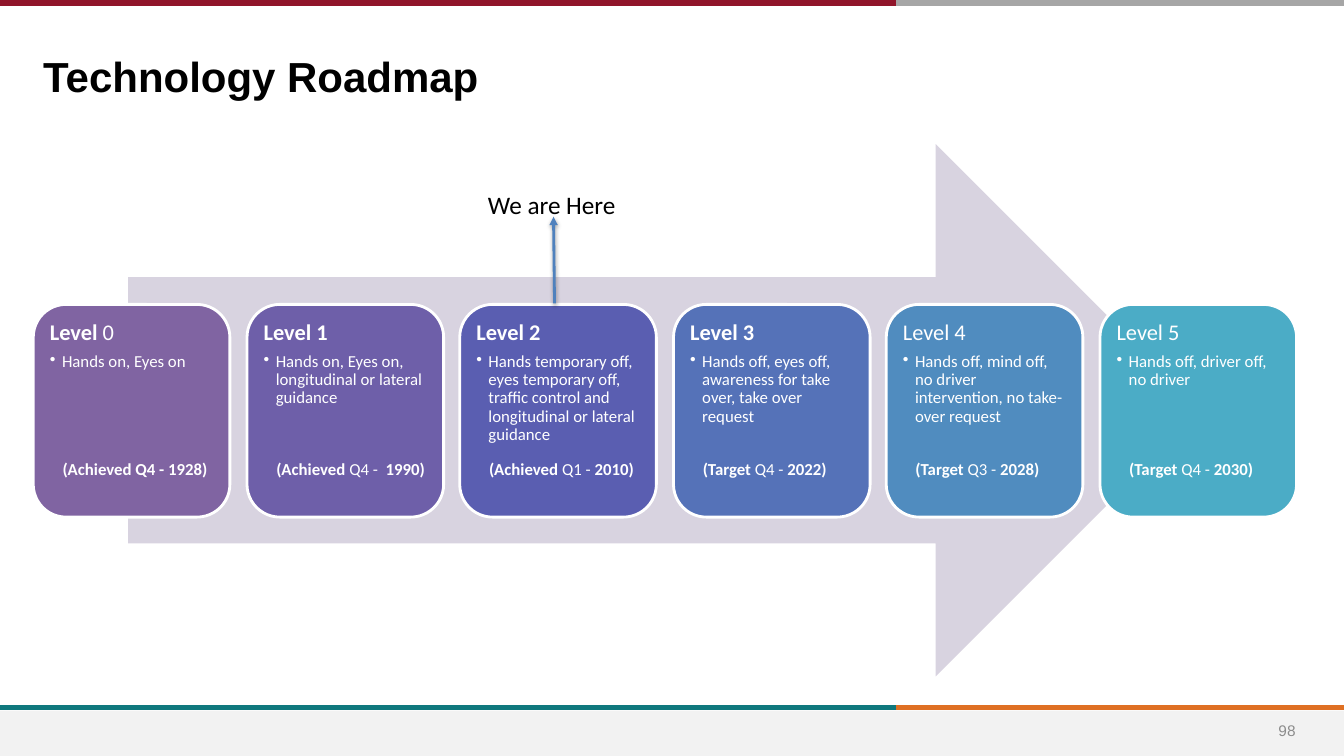
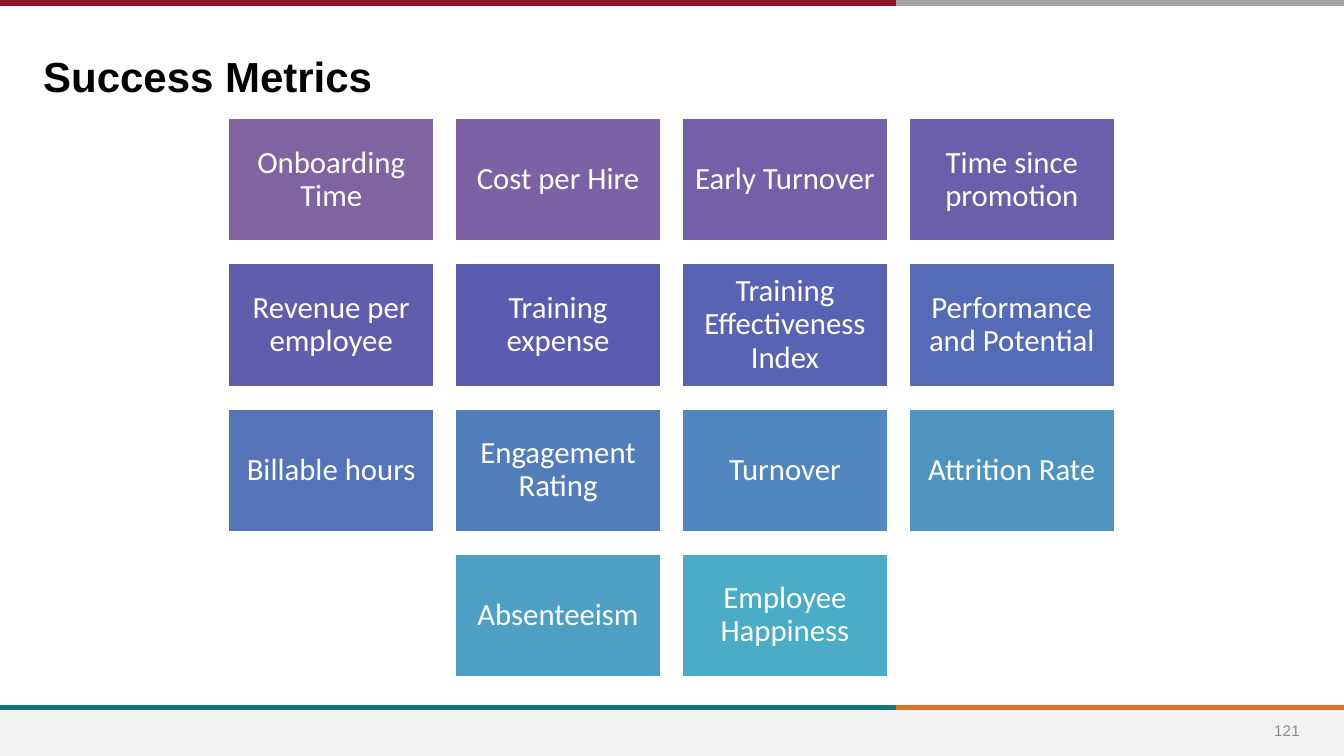
"""Build a technology roadmap slide and a success metrics slide."""
from dataclasses import dataclass
from itertools import islice

from lxml import etree
from pptx import Presentation
from pptx import util as u
from pptx.dml.color import RGBColor
from pptx.enum import shapes, text as t
from pptx.oxml import ns

EMU_PER_PX = 9144
SLIDE_WIDTH, SLIDE_HEIGHT = 1333, 750

BLACK = RGBColor(0x00, 0x00, 0x00)
WHITE = RGBColor(0xFF, 0xFF, 0xFF)
FOOTER_GREY = RGBColor(0xF2, 0xF2, 0xF2)
NUMBER_GREY = RGBColor(0x8C, 0x8C, 0x8C)
BAND_GREY = RGBColor(0xA6, 0xA6, 0xA6)
BAND_RED = RGBColor(0x90, 0x15, 0x2A)
BAND_TEAL = RGBColor(0x0F, 0x78, 0x7D)
BAND_ORANGE = RGBColor(0xDF, 0x70, 0x23)
ARROW_LILAC = RGBColor(0xD8, 0xD3, 0xE0)
POINTER_BLUE = RGBColor(0x4F, 0x81, 0xBD)
LEVEL_COLOURS = [RGBColor.from_string(code) for code in
                 "8064A2 6E5FA9 5A5EB1 5572B8 508CBF 4BACC6".split()]
TILE_COLOURS = [RGBColor.from_string(code) for code in
                ("8064A2 7A62A5 7360A8 6B5EAB 625CAD 5A5CB0 5863B3 "
                 "566BB6 5473B9 527DBB 5187BE 4F93C1 4D9FC3 4BACC6").split()]

HEADING_FONT, BODY_FONT = "Arial", "Calibri"
BAND_SPLIT = 889


@dataclass(frozen=True)
class Box:
    left: int
    top: int
    width: int
    height: int


@dataclass(frozen=True)
class Band:
    start: int
    end: int
    y: int
    colour: RGBColor


@dataclass(frozen=True)
class Level:
    heading: str
    description: str
    date: str


BANDS = [
    Band(BAND_SPLIT, SLIDE_WIDTH, 702, BAND_ORANGE),
    Band(0, BAND_SPLIT, 702, BAND_TEAL),
    Band(BAND_SPLIT, SLIDE_WIDTH, 3, BAND_GREY),
    Band(0, BAND_SPLIT, 3, BAND_RED),
]
LEVELS = [
    Level("**Level **0", "Hands on, Eyes on", "**(Achieved Q4 - 1928)**"),
    Level("**Level 1**", "Hands on, Eyes on, longitudinal or lateral guidance",
          "**(Achieved **Q4 - ** 1990)**"),
    Level("**Level 2**", "Hands temporary off, eyes temporary off, traffic control "
          "and longitudinal or lateral guidance", "**(Achieved **Q1 - **2010)**"),
    Level("**Level 3**", "Hands off, eyes off, awareness for take over, take over request",
          "**(Target **Q4 - **2022)**"),
    Level("Level 4", "Hands off, mind off, no driver intervention, no take-over request",
          "**(Target **Q3 - **2028)**"),
    Level("Level 5", "Hands off, driver off, no driver", "**(Target **Q4 - **2030)**"),
]
METRICS = [
    "Onboarding Time", "Cost per Hire", "Early Turnover", "Time since promotion",
    "Revenue per employee", "Training expense", "Training Effectiveness Index",
    "Performance and Potential", "Billable hours", "Engagement Rating", "Turnover",
    "Attrition Rate", "Absenteeism", "Employee Happiness",
]


def px(length: int) -> u.Emu:
    """Turn a length in px into EMU."""
    return u.Emu(length * EMU_PER_PX)


def place(box: Box) -> tuple:
    """Give the four EMU lengths of a box."""
    return px(box.left), px(box.top), px(box.width), px(box.height)


def set_frame(shape, *, anchor=t.MSO_ANCHOR.TOP, inset: int | None = None):
    """Prepare the text frame of a shape and return it."""
    frame = shape.text_frame
    frame.word_wrap = True
    frame.vertical_anchor = anchor
    if inset is not None:
        frame.margin_left = frame.margin_right = px(inset)
        frame.margin_top = frame.margin_bottom = px(inset)
    return frame


def add_text(frame, text: str, *, size: int, colour: RGBColor = WHITE, font: str = BODY_FONT,
             align=t.PP_ALIGN.LEFT, spacing: float = 1.0, after: float = 0,
             bullet_indent: int = 0) -> None:
    """Add a paragraph in which parts between double asterisks are bold."""
    first = frame.paragraphs[0]
    paragraph = frame.add_paragraph() if first.runs else first
    if bullet_indent:
        properties = paragraph._p.get_or_add_pPr()
        properties.set("marL", str(px(bullet_indent)))
        properties.set("indent", str(-px(bullet_indent)))
        etree.SubElement(properties, ns.qn("a:buChar")).set("char", "•")
    paragraph.alignment = align
    paragraph.line_spacing = spacing
    paragraph.space_after = u.Pt(after)
    for index, part in enumerate(text.split("**")):
        if part:
            run = paragraph.add_run()
            run.text = part
            run.font.name = font
            run.font.size = u.Pt(size)
            run.font.bold = index % 2 == 1
            run.font.color.rgb = colour


def add_label(slide, box: Box, text: str, *, anchor=t.MSO_ANCHOR.TOP,
              inset: int | None = None, **text_format) -> None:
    """Add a text box with one paragraph."""
    shape = slide.shapes.add_textbox(*place(box))
    add_text(set_frame(shape, anchor=anchor, inset=inset), text, **text_format)


def add_block(slide, kind, box: Box, fill: RGBColor, *, outlined: bool = False):
    """Add a flat filled shape, with a white outline if asked."""
    shape = slide.shapes.add_shape(kind, *place(box))
    shape.shadow.inherit = False
    shape.fill.solid()
    shape.fill.fore_color.rgb = fill
    if outlined:
        shape.line.color.rgb = WHITE
        shape.line.width = u.Pt(2)
    else:
        shape.line.fill.background()
    return shape


def add_line(slide, start: tuple[int, int], end: tuple[int, int], colour: RGBColor, width: int):
    """Add a straight line and return it with its empty effect list."""
    line = slide.shapes.add_connector(shapes.MSO_CONNECTOR.STRAIGHT,
                                      *map(px, start), *map(px, end))
    line.line.color.rgb = colour
    line.line.width = u.Pt(width)
    effects = etree.SubElement(line._element.spPr, ns.qn("a:effectLst"))
    return line, effects


def add_pointer(slide, start: tuple[int, int], end: tuple[int, int]) -> None:
    """Add an arrow with a soft shadow."""
    line, effects = add_line(slide, start, end, POINTER_BLUE, 2)
    etree.SubElement(line.line._get_or_add_ln(), ns.qn("a:tailEnd")).set("type", "triangle")
    shadow = etree.SubElement(effects, ns.qn("a:outerShdw"), blurRad=str(u.Pt(3.1)),
                              dist=str(u.Pt(1.6)), dir="5400000", rotWithShape="0")
    shade = etree.SubElement(shadow, ns.qn("a:srgbClr"), val=str(BLACK))
    etree.SubElement(shade, ns.qn("a:alpha"), val="38000")


def add_base_slide(presentation, title: str, number: int):
    """Add a slide with the shared bands, footer, number and title."""
    slide = presentation.slides.add_slide(presentation.slide_layouts[6])
    add_block(slide, shapes.MSO_SHAPE.RECTANGLE, Box(0, 705, SLIDE_WIDTH, 45), FOOTER_GREY)
    for band in BANDS:
        add_line(slide, (band.start, band.y), (band.end, band.y), band.colour, 4)
    add_label(slide, Box(1242, 705, 69, 40), str(number), anchor=t.MSO_ANCHOR.MIDDLE,
              size=11, font=HEADING_FONT, colour=NUMBER_GREY, align=t.PP_ALIGN.CENTER)
    add_label(slide, Box(33, 46, 1065, 59), f"**{title}**", anchor=t.MSO_ANCHOR.BOTTOM,
              size=30, font=HEADING_FONT, colour=BLACK)
    return slide


def add_level_card(slide, box: Box, level: Level, colour: RGBColor) -> None:
    """Add a roadmap card with its heading, description and date."""
    card = add_block(slide, shapes.MSO_SHAPE.ROUNDED_RECTANGLE, box, colour, outlined=True)
    frame = set_frame(card, inset=7)
    add_text(frame, level.heading, size=16, spacing=0.9, after=5.6)
    add_text(frame, level.description, size=12, spacing=0.9, bullet_indent=12)
    date_box = Box(box.left + 29, box.top + 153, box.width - 34, 20)
    add_label(slide, date_box, level.date, anchor=t.MSO_ANCHOR.MIDDLE, inset=0, size=12)


def build_roadmap(presentation) -> None:
    """Build the roadmap slide."""
    slide = add_base_slide(presentation, "Technology Roadmap", 98)
    add_block(slide, shapes.MSO_SHAPE.RIGHT_ARROW, Box(127, 143, 1065, 528), ARROW_LILAC)
    first_left, last_left = 33, 1091
    pitch = (last_left - first_left) / (len(LEVELS) - 1)
    for index, (level, colour) in enumerate(zip(LEVELS, LEVEL_COLOURS)):
        box = Box(round(first_left + index * pitch), 302, 195, 211)
        add_level_card(slide, box, level, colour)
    add_pointer(slide, (550, 301), (549, 215))
    add_label(slide, Box(474, 183, 150, 40), "We are Here", size=18, colour=BLACK)


def build_metrics(presentation) -> None:
    """Build the metrics slide as centred rows of tiles."""
    slide = add_base_slide(presentation, "Success Metrics", 121)
    columns, width, height, gap, top = 4, 205, 123, 20, 117
    tiles = iter(zip(METRICS, TILE_COLOURS))
    while row := list(islice(tiles, columns)):
        left = (SLIDE_WIDTH - len(row) * (width + gap) + gap) // 2
        for metric, colour in row:
            tile = add_block(slide, shapes.MSO_SHAPE.RECTANGLE, Box(left, top, width, height),
                             colour, outlined=True)
            frame = set_frame(tile, anchor=t.MSO_ANCHOR.MIDDLE, inset=9)
            add_text(frame, metric, size=22, align=t.PP_ALIGN.CENTER, spacing=0.9)
            left += width + gap
        top += height + gap + 1


def main() -> None:
    """Build and save the presentation."""
    presentation = Presentation()
    presentation.slide_width = px(SLIDE_WIDTH)
    presentation.slide_height = px(SLIDE_HEIGHT)
    build_roadmap(presentation)
    build_metrics(presentation)
    presentation.save("out.pptx")


if __name__ == "__main__":
    main()
